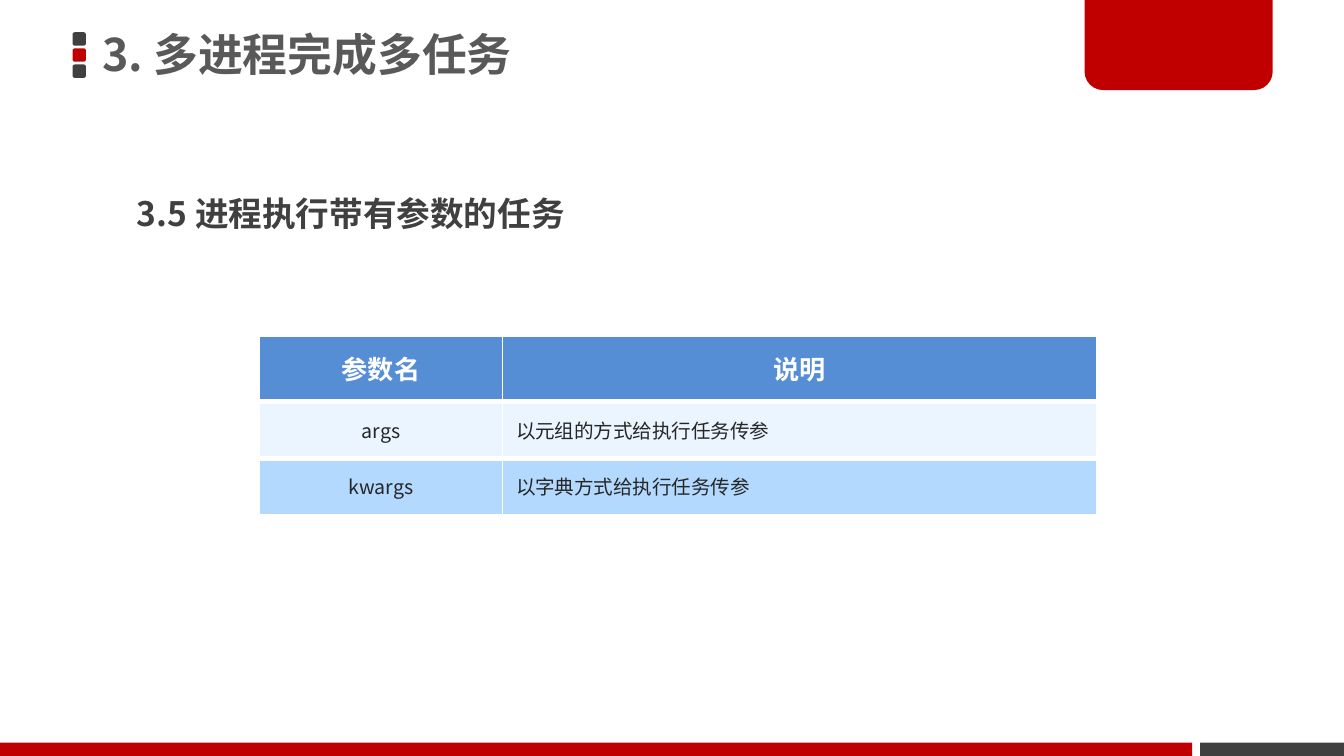
from dataclasses import dataclass

import lxml.etree
import pptx
import pptx.dml.color
import pptx.enum.shapes
import pptx.enum.text
import pptx.oxml.ns
import pptx.util

RGBColor = pptx.dml.color.RGBColor
Inches = pptx.util.Inches
Pt = pptx.util.Pt
Shape = pptx.enum.shapes.MSO_SHAPE
Align = pptx.enum.text.PP_ALIGN
Anchor = pptx.enum.text.MSO_ANCHOR
qn = pptx.oxml.ns.qn

WHITE = RGBColor(0xFF, 0xFF, 0xFF)
RED = RGBColor(0xC0, 0x00, 0x00)
DARK = RGBColor(0x40, 0x40, 0x40)
TITLE_GRAY = RGBColor(0x59, 0x59, 0x59)
BODY_GRAY = RGBColor(0x26, 0x26, 0x26)
HEADER_BLUE = RGBColor(0x55, 0x8E, 0xD5)
PALE_BLUE = RGBColor(0xEB, 0xF5, 0xFF)
LIGHT_BLUE = RGBColor(0xB3, 0xD9, 0xFF)
FONT = "Noto Sans CJK SC"
WIDTH = 10
HEIGHT = WIDTH * 9 / 16
BAR_HEIGHT = 0.1
BAR_TOP = HEIGHT - BAR_HEIGHT
MARK_SIZE, MARK_STEP = 0.1, 0.12
COLUMN_WIDTHS = (1.81, 4.42)
THIN, THICK = 1, 3


@dataclass(frozen=True)
class Block:
    left: float
    top: float
    width: float
    height: float
    color: RGBColor
    kind: Shape = Shape.RECTANGLE
    corners: tuple[float, ...] = ()


@dataclass(frozen=True)
class TextStyle:
    size: float
    color: RGBColor
    bold: bool
    spacing: float | pptx.util.Length


@dataclass(frozen=True)
class Heading:
    text: str
    left: float
    top: float
    width: float
    height: float
    style: TextStyle
    anchor: Anchor
    inset_x: float
    inset_y: float


@dataclass(frozen=True)
class TableRow:
    texts: tuple[str, str]
    height: float
    fill: RGBColor
    style: TextStyle
    alignments: tuple[Align, Align]
    anchor: Anchor
    top_border: float
    bottom_border: float


HEADER_STYLE = TextStyle(14, WHITE, True, Pt(24))
BODY_STYLE = TextStyle(10.5, BODY_GRAY, False, 1.0)
BODY_ALIGN = (Align.CENTER, Align.LEFT)

BLOCKS = [
    Block(0.54, 0.24 + index * MARK_STEP, MARK_SIZE, MARK_SIZE, color,
          Shape.ROUNDED_RECTANGLE, (0.17,))
    for index, color in enumerate((DARK, RED, DARK))
] + [
    Block(8.93, BAR_TOP, 1.07, BAR_HEIGHT, DARK),
    Block(8.07, -0.02, 1.4, 0.69, RED, Shape.ROUND_2_SAME_RECTANGLE, (0, 0.2)),
    Block(0, BAR_TOP, 8.87, BAR_HEIGHT, RED),
]
HEADINGS = [
    Heading("3.5 进程执行带有参数的任务", 0.92, 1.24, 3.84, 0.5,
            TextStyle(18, DARK, True, 1.5), Anchor.TOP, 0.1, 0.05),
    Heading("3. 多进程完成多任务", 0.69, -0.02, 5.89, 0.89,
            TextStyle(24, TITLE_GRAY, True, 0.9), Anchor.MIDDLE, 0.07, 0.04),
]
ROWS = [
    TableRow(("参数名", "说明"), 0.49, HEADER_BLUE, HEADER_STYLE,
             (Align.CENTER, Align.CENTER), Anchor.TOP, THIN, THICK),
    TableRow(("args", "以元组的方式给执行任务传参"), 0.42, PALE_BLUE,
             BODY_STYLE, BODY_ALIGN, Anchor.MIDDLE, THICK, THICK),
    TableRow(("kwargs", "以字典方式给执行任务传参"), 0.42, LIGHT_BLUE,
             BODY_STYLE, BODY_ALIGN, Anchor.MIDDLE, THICK, THIN),
]


def draw_block(page: pptx.slide.Slide, block: Block) -> None:
    shape = page.shapes.add_shape(
        block.kind, Inches(block.left), Inches(block.top),
        Inches(block.width), Inches(block.height))
    for index, corner in enumerate(block.corners):
        shape.adjustments[index] = corner
    shape.shadow.inherit = False
    shape.fill.solid()
    shape.fill.fore_color.rgb = block.color
    shape.line.fill.background()


def write_text(frame: pptx.text.text.TextFrame, text: str, style: TextStyle,
               alignment: Align = Align.LEFT) -> None:
    para = frame.paragraphs[0]
    para.text = text
    para.alignment = alignment
    para.line_spacing = style.spacing
    font = para.font
    font.name = FONT
    font.size = Pt(style.size)
    font.bold = style.bold
    font.color.rgb = style.color
    properties = para._p.pPr.find(qn("a:defRPr"))
    east_asian = lxml.etree.Element(qn("a:ea"), typeface=FONT)
    properties.find(qn("a:latin")).addnext(east_asian)


def draw_heading(page: pptx.slide.Slide, heading: Heading) -> None:
    box = page.shapes.add_textbox(
        Inches(heading.left), Inches(heading.top),
        Inches(heading.width), Inches(heading.height))
    frame = box.text_frame
    frame.word_wrap = True
    frame.vertical_anchor = heading.anchor
    frame.margin_left = frame.margin_right = Inches(heading.inset_x)
    frame.margin_top = frame.margin_bottom = Inches(heading.inset_y)
    write_text(frame, heading.text, heading.style)


def add_border(cell: pptx.table._Cell, side: str, width: float) -> None:
    properties = cell._tc.get_or_add_tcPr()
    line = lxml.etree.SubElement(properties, qn(f"a:ln{side}"), w=str(Pt(width)))
    fill = lxml.etree.SubElement(line, qn("a:solidFill"))
    lxml.etree.SubElement(fill, qn("a:srgbClr"), val=str(WHITE))


def draw_table(page: pptx.slide.Slide, left: float, top: float) -> None:
    table = page.shapes.add_table(
        len(ROWS), len(COLUMN_WIDTHS), Inches(left), Inches(top),
        Inches(sum(COLUMN_WIDTHS)), Inches(sum(row.height for row in ROWS))).table
    for column, width in zip(table.columns, COLUMN_WIDTHS):
        column.width = Inches(width)
    for row_index, row in enumerate(ROWS):
        table.rows[row_index].height = Inches(row.height)
        borders = {"L": THIN, "R": THIN, "T": row.top_border, "B": row.bottom_border}
        for column_index, text in enumerate(row.texts):
            cell = table.cell(row_index, column_index)
            for side, width in borders.items():
                add_border(cell, side, width)
            cell.fill.solid()
            cell.fill.fore_color.rgb = row.fill
            cell.vertical_anchor = row.anchor
            write_text(cell.text_frame, text, row.style, row.alignments[column_index])


deck = pptx.Presentation()
deck.slide_width, deck.slide_height = Inches(WIDTH), Inches(HEIGHT)
page = deck.slides.add_slide(deck.slide_layouts[6])
for block in BLOCKS:
    draw_block(page, block)
draw_table(page, 1.93, 2.5)
for heading in HEADINGS:
    draw_heading(page, heading)
deck.save("out.pptx")
